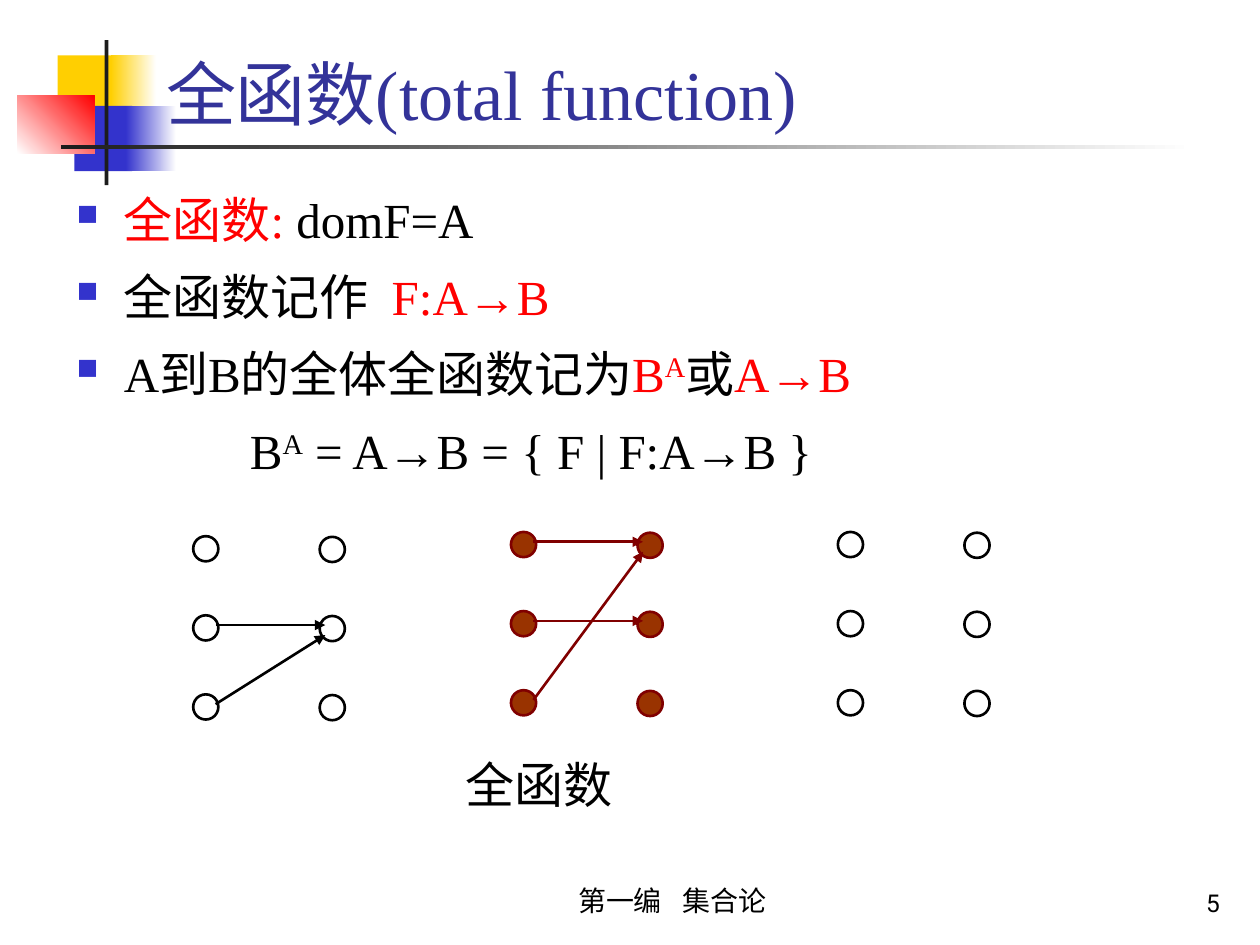
from lxml import etree
from pptx import Presentation
from pptx import util as u
from pptx.dml.color import RGBColor
from pptx.enum import shapes, text
from pptx.oxml.ns import qn

Pt = u.Pt
BLACK = RGBColor(0, 0, 0)
WHITE = RGBColor(255, 255, 255)
DARK = RGBColor(0x1C, 0x1C, 0x1C)
YELLOW = RGBColor(0xFF, 0xCF, 0x01)
BLUE = RGBColor(0x33, 0x33, 0xCC)
NAVY = RGBColor(0x33, 0x33, 0x99)
RED = RGBColor(255, 0, 0)
MAROON = RGBColor(0x80, 0, 0)
RUST = RGBColor(0x99, 0x33, 0)

ROW_GAP, COL_GAP, DOT = 45.2, 72.3, 14.4
HANGING = 27


def add_run(p, words, size=28, color=BLACK, font="Times New Roman", raised=False, spacing=0):
    r = p.add_run()
    r.text = words
    r.font.size, r.font.name = Pt(size), font
    r.font.color.rgb = color
    if raised:
        r.font._element.set("baseline", "30000")
    if spacing:
        r.font._element.set("spc", str(spacing * 100))


def format_paragraph(p, before=0, line=None, left=0, first=0, bullet=False, align=None):
    pPr = p._p.get_or_add_pPr()
    pPr.set("marL", str(Pt(left)))
    pPr.set("indent", str(Pt(first)))
    if bullet:
        clr = etree.SubElement(pPr, qn("a:buClr"))
        etree.SubElement(clr, qn("a:srgbClr"), val=str(BLUE))
        etree.SubElement(pPr, qn("a:buSzPct"), val="60000")
        etree.SubElement(pPr, qn("a:buChar"), char="■")
    p.alignment = align
    p.line_spacing = line
    p.space_before = Pt(before)


def add_text(s, box, runs, anchor=text.MSO_ANCHOR.TOP, wrap=True, **fmt):
    """Add a text box whose first paragraph holds (words, format) runs."""
    tf = s.shapes.add_textbox(*map(Pt, box)).text_frame
    tf.word_wrap, tf.vertical_anchor = wrap, anchor
    p = tf.paragraphs[0]
    format_paragraph(p, **fmt)
    for words, style in runs:
        add_run(p, words, **style)
    return tf


def add_block(s, box, color, end=None, angle=0):
    sp = s.shapes.add_shape(shapes.MSO_SHAPE.RECTANGLE, *map(Pt, box))
    sp.shadow.inherit = False
    sp.line.fill.background()
    if end is None:
        sp.fill.solid()
        sp.fill.fore_color.rgb = color
        return
    sp.fill.gradient()
    sp.fill.gradient_angle = angle
    for stop, rgb in zip(sp.fill.gradient_stops, (color, end)):
        stop.color.rgb = rgb


def add_dot(group, x, y, line, fill):
    sp = group.shapes.add_shape(shapes.MSO_SHAPE.OVAL, Pt(x), Pt(y), Pt(DOT), Pt(DOT))
    sp.shadow.inherit = False
    sp.line.color.rgb, sp.line.width = line, Pt(1.5)
    if fill is None:
        sp.fill.background()
    else:
        sp.fill.solid()
        sp.fill.fore_color.rgb = fill


def add_arrow(group, x1, y1, x2, y2, color):
    c = group.shapes.add_connector(shapes.MSO_CONNECTOR.STRAIGHT, Pt(x1), Pt(y1), Pt(x2), Pt(y2))
    c.line.color.rgb, c.line.width = color, Pt(1.5)
    etree.SubElement(c.line._get_or_add_ln(), qn("a:tailEnd"), type="triangle")
    etree.SubElement(c._element.spPr, qn("a:effectLst"))


def add_mapping(s, left, top, arrows=(), line=BLACK, fill=None):
    """Two columns of three dots, with arrows given as (from row, to row)."""
    group = s.shapes.add_group_shape()
    for col in range(2):
        for row in range(3):
            add_dot(group, left + col * COL_GAP, top + row * ROW_GAP + col * 0.4, line, fill)
    for start, end in arrows:
        drop = 5.6 if start == end else 11.3
        add_arrow(group, left + 12.8, top + start * ROW_GAP + 5.6,
                  left + COL_GAP + 3.2, top + end * ROW_GAP + drop, line)


def add_decoration(s):
    add_block(s, (33, 31.7, 34.6, 37.4), YELLOW)
    add_block(s, (63.4, 31.7, 25.9, 37.4), YELLOW, WHITE)
    add_block(s, (42.5, 60.5, 33.1, 37.4), BLUE)
    add_block(s, (72, 60.5, 28.8, 37.4), BLUE, WHITE)
    add_block(s, (10, 54.7, 44, 33.1), WHITE, RED, angle=45)
    add_block(s, (59.8, 23, 2.2, 82.8), DARK)
    add_block(s, (34.6, 82.8, 648, 2.2), DARK, WHITE)


def add_body(s):
    red, raised = {"color": RED}, {"raised": True}
    para = {"before": 7, "line": 1.1}
    item = {**para, "left": HANGING, "first": -HANGING, "bullet": True}
    tf = add_text(s, (36.7, 94.3, 657.4, 391),
                  [("全函数:", red), (" domF=A", {})], **{**item, "before": 0})
    # LibreOffice and others ignore space before the first line, so the box inset carries it
    tf.margin_top = Pt(10.6)
    rest = [
        (item, [("全函数记作", {}), (" ", {"spacing": 7}), ("F:A→B", red)]),
        (item, [("A到B的全体全函数记为", {}), ("B", red), ("A", {**red, **raised}),
                ("或", {}), ("A→B", red)]),
        ({**para, "left": 99}, [("B", {}), ("A", raised), (" = A→B = { F | F:A→B }", {})]),
    ]
    for fmt, runs in rest:
        p = tf.add_paragraph()
        format_paragraph(p, **fmt)
        for words, style in runs:
            add_run(p, words, **style)


def main():
    prs = Presentation()
    prs.slide_width, prs.slide_height = Pt(720), Pt(540)
    s = prs.slides.add_slide(prs.slide_layouts[6])
    bottom = text.MSO_ANCHOR.BOTTOM

    add_decoration(s)

    # Footer and page number
    add_text(s, (554.4, 491.8, 149.8, 36), [("5", {"size": 14, "font": "Roboto"})],
             anchor=bottom, align=text.PP_ALIGN.RIGHT)
    add_text(s, (270, 491.8, 228.2, 36),
             [("第一编", {"size": 16}), (" ", {"size": 16, "spacing": 8}), ("集合论", {"size": 16})],
             anchor=bottom, align=text.PP_ALIGN.CENTER, line=1.1, left=HANGING, first=-HANGING)

    # Title and definitions
    add_text(s, (87.8, 20.2, 613.4, 60.5),
             [("全函数(total function)", {"size": 40, "color": NAVY})], anchor=bottom)
    add_body(s)

    # Mapping diagrams and caption
    add_mapping(s, 110.4, 306.4, arrows=[(1, 1), (2, 1)])
    add_mapping(s, 478.8, 304)
    add_mapping(s, 292, 304, arrows=[(1, 1), (2, 0), (0, 0)], line=MAROON, fill=RUST)
    add_text(s, (259.2, 424, 152, 44.6), [("全函数", {})], wrap=False, line=1.1,
             left=HANGING, first=-HANGING)

    prs.save("out.pptx")


if __name__ == "__main__":
    main()
